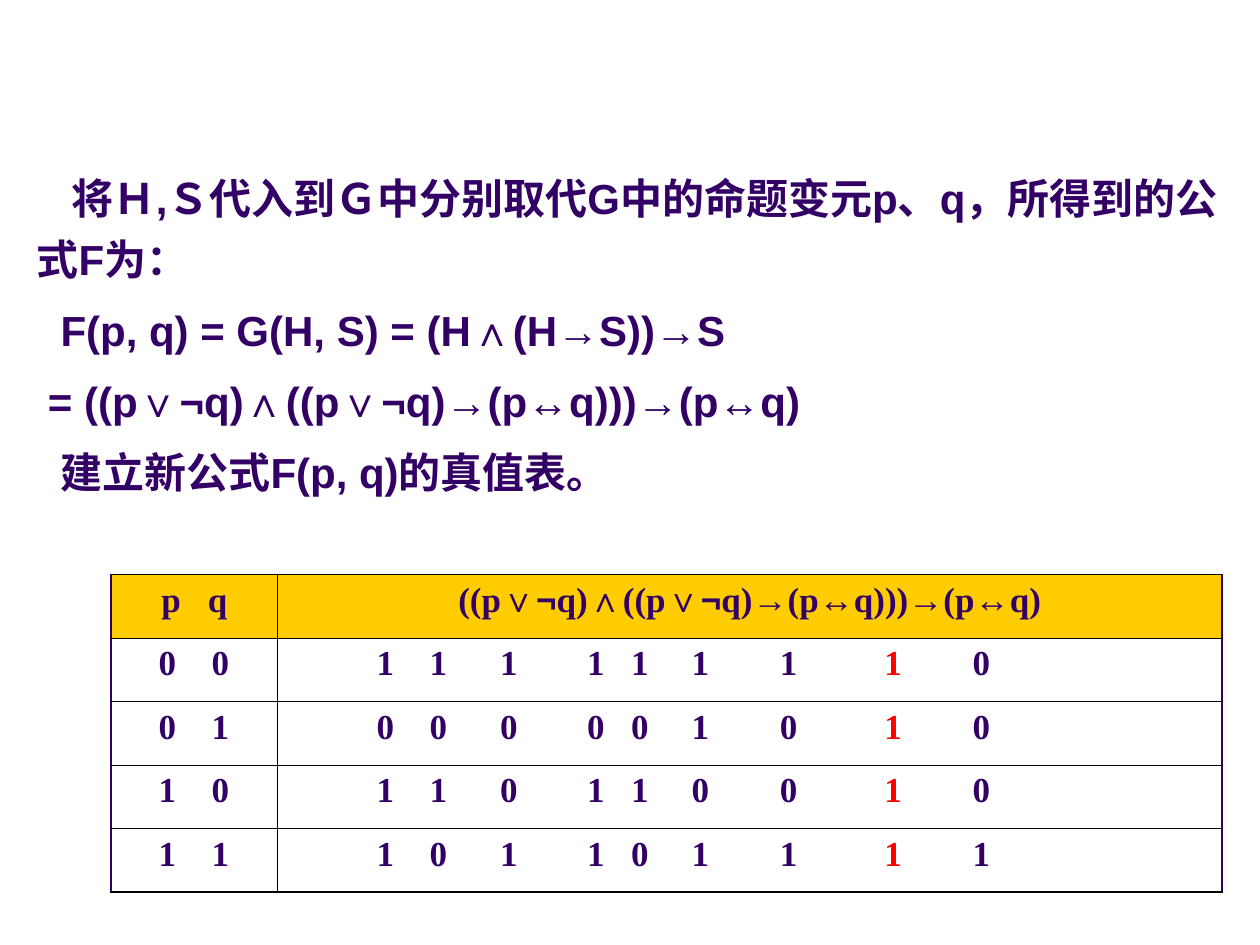
from typing import NamedTuple

from lxml import etree
from pptx import Presentation
from pptx import util as u
from pptx.dml import color
from pptx.enum import text
from pptx.oxml import ns

PURPLE, GOLD, WHITE, BLACK, RED = "330066", "FFCC00", "FFFFFF", "000000", "FF0000"
SANS, SERIF = "Arial", "Times New Roman"
RESULT_COLUMN = 7


class Line(NamedTuple):
    wording: str
    indent: float


class Piece(NamedTuple):
    wording: str
    font: str = ""
    ink: str = ""


class Border(NamedTuple):
    side: str
    ink: str
    width: float


LINES = [
    Line("将Ｈ,Ｓ代入到Ｇ中分别取代G中的命题变元p、q，所得到的公式F为：", 0.28),
    Line("F(p, q) = G(H, S) = (H∧(H→S))→S", 0.19),
    Line("= ((p∨¬q)∧((p∨¬q)→(p↔q)))→(p↔q)", 0.09),
    Line("建立新公式F(p, q)的真值表。", 0.19),
]
FORMULA = [
    Piece("((p∨"), Piece("¬", SANS), Piece("q)∧((p∨"), Piece("¬", SANS),
    Piece("q)→(p"), Piece("↔", SANS), Piece("q)))→(p"), Piece("↔", SANS), Piece("q)"),
]
TRUTH_ROWS = [
    ("00", "111111110"),
    ("01", "000001010"),
    ("10", "110110010"),
    ("11", "101101111"),
]
HEADER_STOPS = [0.3, 0.67]
INPUT_STOPS = [0.28, 0.7]
VALUE_STOPS = [0.69, 1.11, 1.67, 2.36, 2.71, 3.19, 3.89, 4.72, 5.42]


def rgb(value: str) -> color.RGBColor:
    return color.RGBColor.from_string(value)


def style(para, font: str, size: float) -> None:
    para.font.name = font
    para.font.size = u.Pt(size)
    para.font.bold = True
    para.font.color.rgb = rgb(PURPLE)


def add_stops(para, stops: list[float]) -> None:
    tabs = etree.SubElement(para._p.get_or_add_pPr(), ns.qn("a:tabLst"))
    for stop in stops:
        etree.SubElement(tabs, ns.qn("a:tab"), pos=str(u.Inches(stop)), algn="l")


def add_border(cell, border: Border) -> None:
    line = etree.SubElement(cell._tc.get_or_add_tcPr(), ns.qn(f"a:ln{border.side}"),
                            w=str(u.Pt(border.width)))
    fill = etree.SubElement(line, ns.qn("a:solidFill"))
    etree.SubElement(fill, ns.qn("a:srgbClr"), val=border.ink)


def fill_cell(cell, pieces: list[Piece], stops: list[float], fill: str,
              borders: list[Border]) -> None:
    for border in borders:
        add_border(cell, border)
    cell.fill.solid()
    cell.fill.fore_color.rgb = rgb(fill)
    para = cell.text_frame.paragraphs[0]
    if stops:
        add_stops(para, stops)
    else:
        para.alignment = text.PP_ALIGN.CENTER
    style(para, SERIF, 20)
    for piece in pieces:
        span = para.add_run()
        span.text = piece.wording
        if piece.font:
            span.font.name = piece.font
        if piece.ink:
            span.font.color.rgb = rgb(piece.ink)


def tabbed(values: str) -> str:
    return "".join(f"\t{value}" for value in values)


def add_explanation(page) -> None:
    box = page.placeholders[1]
    box.left, box.top = u.Inches(0.25), u.Inches(1.25)
    box.width, box.height = u.Inches(9.53), u.Inches(2.73)
    box.fill.solid()
    box.fill.fore_color.rgb = rgb(WHITE)
    frame = box.text_frame
    frame.word_wrap = True
    frame.auto_size = text.MSO_AUTO_SIZE.SHAPE_TO_FIT_TEXT
    frame.margin_left = frame.margin_right = u.Inches(0.04)
    frame.margin_top = frame.margin_bottom = u.Inches(0.04)
    for index, line in enumerate(LINES):
        para = frame.add_paragraph() if index else frame.paragraphs[0]
        para.line_spacing = 1.2
        para.space_before = u.Pt(6 if index else 0)
        props = para._p.get_or_add_pPr()
        props.set("marL", "0")
        props.set("indent", str(u.Inches(line.indent)))
        etree.SubElement(props, ns.qn("a:buNone"))
        style(para, SANS, 24)
        para.add_run().text = line.wording


def add_truth_table(page) -> None:
    count = len(TRUTH_ROWS) + 1
    table = page.shapes.add_table(count, 2, u.Inches(0.88), u.Inches(4.56),
                                  u.Inches(8.82), u.Inches(2.52)).table
    table.first_row = table.horz_banding = False
    table.columns[0].width = u.Inches(1.32)
    table.columns[1].width = u.Inches(7.5)
    outer, inner = (PURPLE, 1.08), (BLACK, 0.45)

    contents = [([Piece(tabbed("pq"))], HEADER_STOPS, FORMULA, [])]
    for inputs, values in TRUTH_ROWS:
        pieces = [
            Piece(tabbed(values[:RESULT_COLUMN])),
            Piece(tabbed(values[RESULT_COLUMN]), ink=RED),
            Piece(tabbed(values[RESULT_COLUMN + 1:])),
        ]
        contents.append(([Piece(tabbed(inputs))], INPUT_STOPS, pieces, VALUE_STOPS))

    for row, (inputs, input_stops, values, value_stops) in enumerate(contents):
        fill = WHITE if row else GOLD
        top = Border("T", BLACK, 0.45 if row else 1.08)
        bottom = Border("B", BLACK, 0.45 if row < count - 1 else 1.08)
        fill_cell(table.cell(row, 0), inputs, input_stops, fill,
                  [Border("L", *outer), Border("R", *inner), top, bottom])
        fill_cell(table.cell(row, 1), values, value_stops, fill,
                  [Border("L", *inner), Border("R", *outer), top, bottom])


def main() -> None:
    deck = Presentation()
    deck.slide_width, deck.slide_height = u.Inches(10), u.Inches(7.5)
    page = deck.slides.add_slide(deck.slide_layouts[1])
    title = page.shapes.title._element
    title.getparent().remove(title)
    add_explanation(page)
    add_truth_table(page)
    deck.save("out.pptx")


if __name__ == "__main__":
    main()
